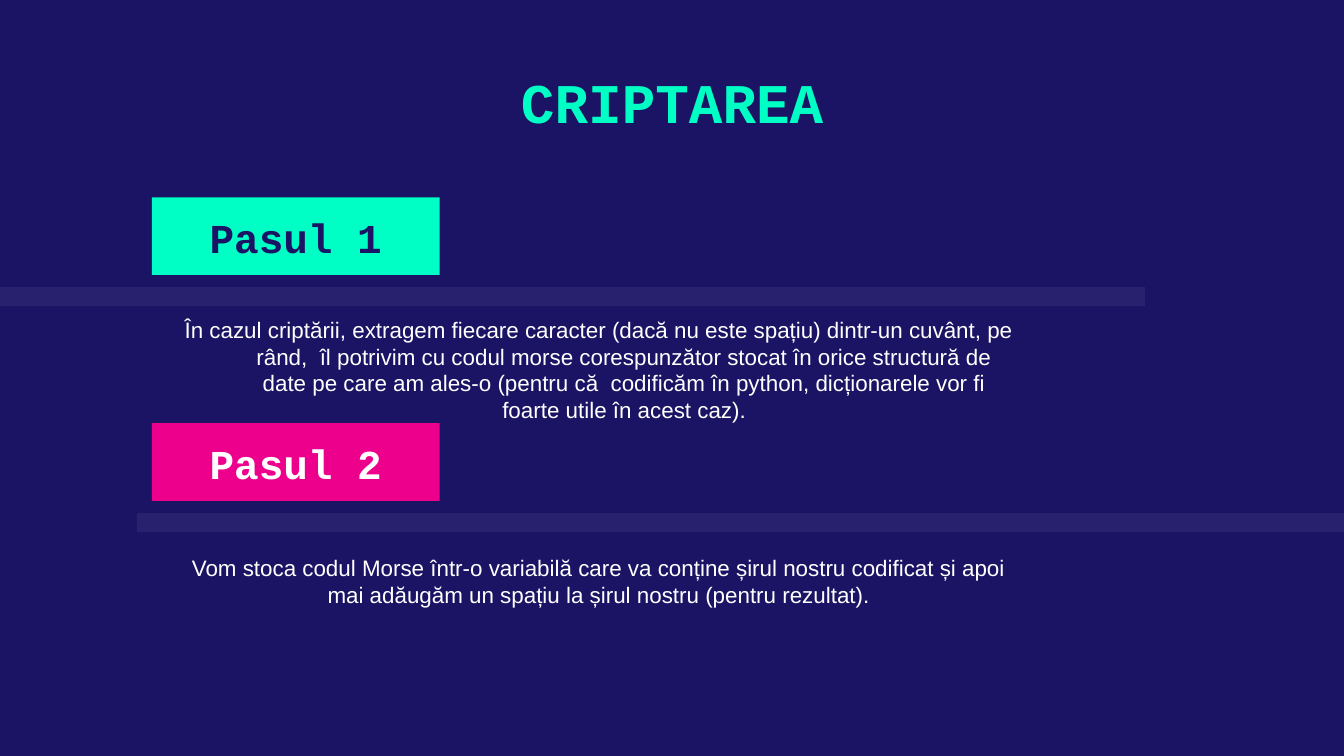
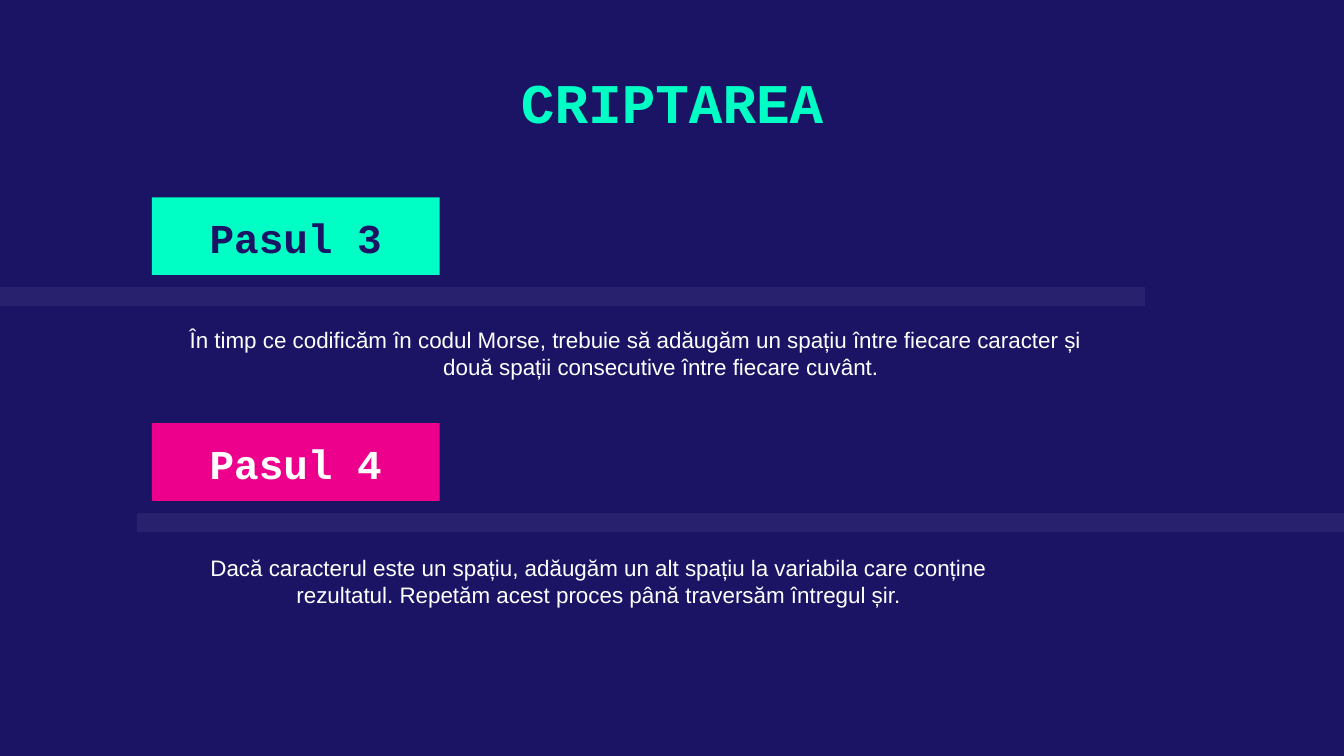
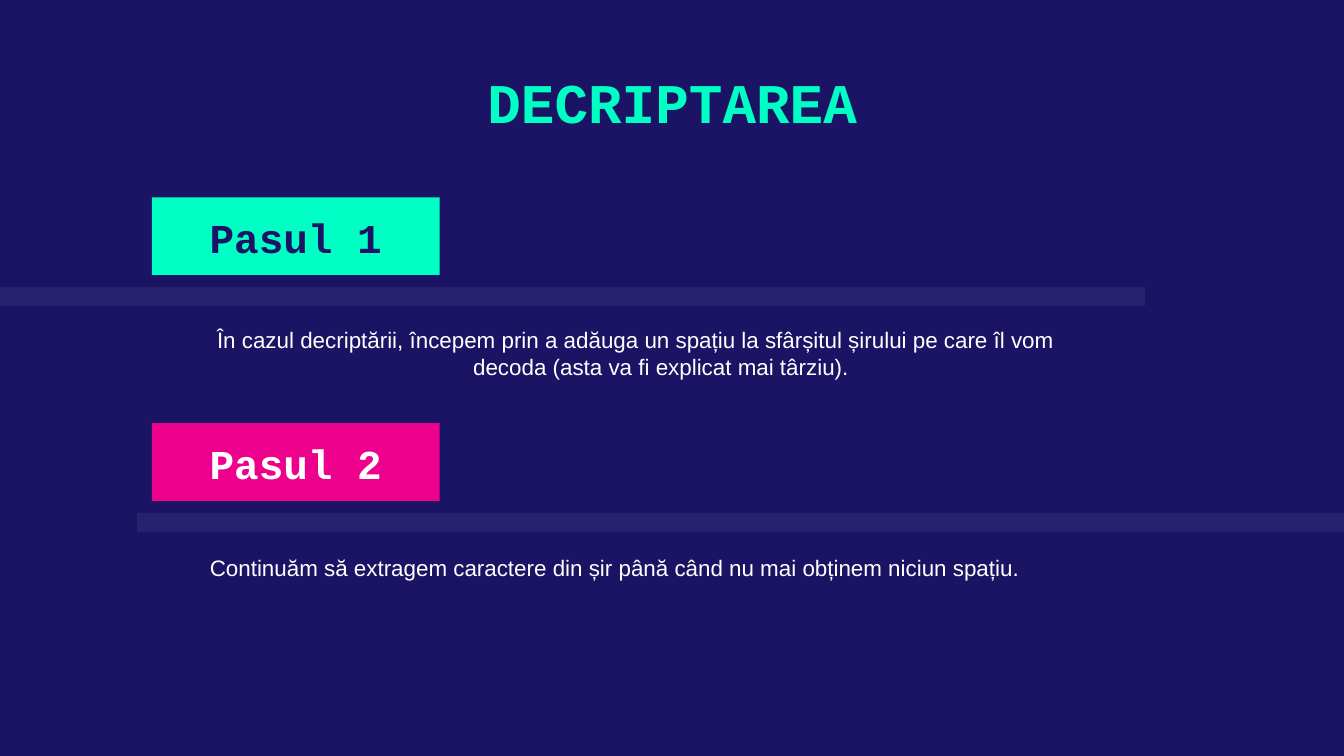
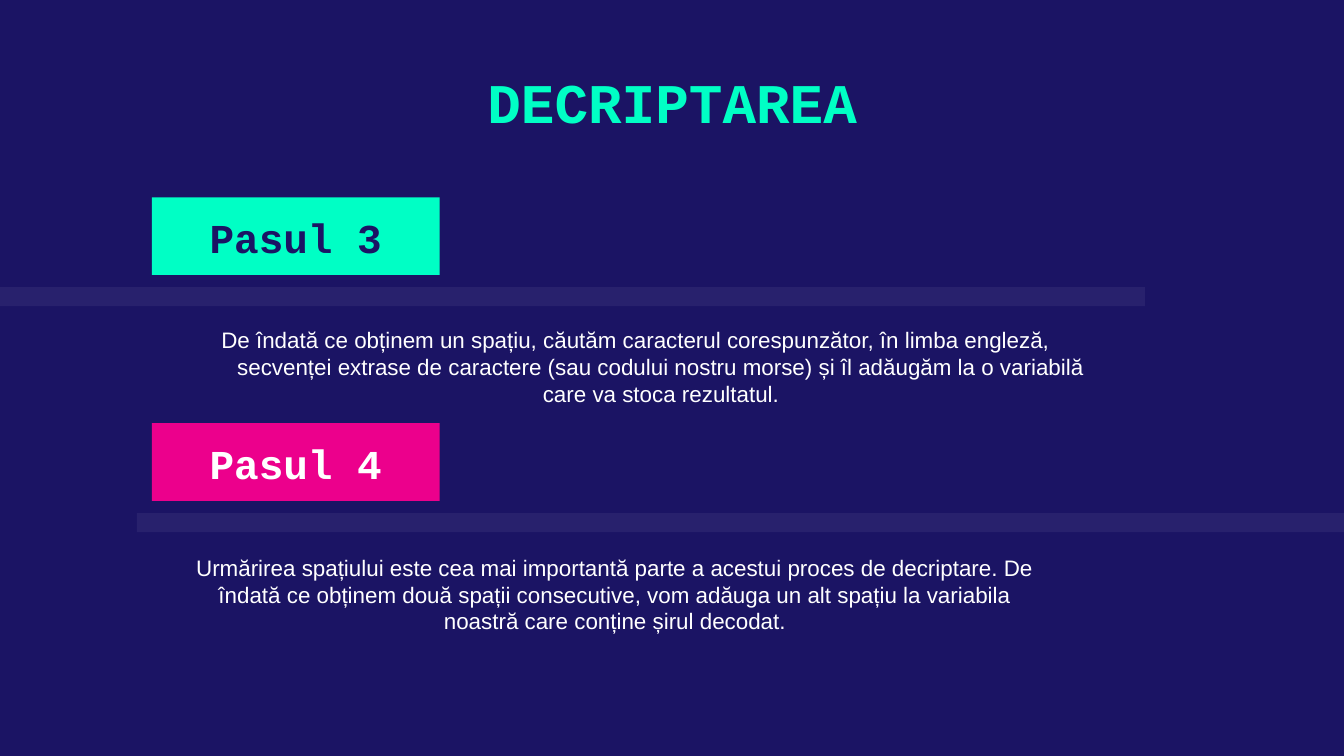
from dataclasses import dataclass

from lxml import etree
from pptx import Presentation
from pptx.dml.color import RGBColor
from pptx.enum.shapes import MSO_SHAPE
from pptx.enum.text import MSO_ANCHOR, PP_ALIGN
from pptx.oxml.ns import qn
from pptx.util import Cm, Pt

RECTANGLE = MSO_SHAPE.RECTANGLE
TOP, BOTTOM = MSO_ANCHOR.TOP, MSO_ANCHOR.BOTTOM
CENTER = PP_ALIGN.CENTER


@dataclass(frozen=True)
class Theme:
    """Colours, fonts and type sizes shared by all slides."""

    navy: RGBColor = RGBColor(0x1B, 0x14, 0x64)
    mint: RGBColor = RGBColor(0x00, 0xFF, 0xC5)
    pink: RGBColor = RGBColor(0xEC, 0x00, 0x8C)
    white: RGBColor = RGBColor(0xFF, 0xFF, 0xFF)
    heading_font: str = "Courier New"
    body_font: str = "Arial"
    title_size: int = 30
    badge_size: int = 22
    body_size: int = 12
    band_opacity: int = 6


@dataclass(frozen=True)
class Box:
    """A rectangle in centimetres."""

    left: float
    top: float
    width: float
    height: float

    def inner(self, left, top, width, height):
        """Return a box placed relative to this one."""
        return Box(self.left + left, self.top + top, width, height)

    def lengths(self):
        """Return the four lengths for python-pptx."""
        return Cm(self.left), Cm(self.top), Cm(self.width), Cm(self.height)


@dataclass(frozen=True)
class Body:
    """Explanatory text and how it sits inside its step."""

    text: str
    left: float
    top: float
    width: float
    height: float
    hanging: bool = False


THEME = Theme()
SLIDE = Box(0, 0, 25.4, 14.29)
TITLE = Box(3.56, 0.94, 18.29, 1.85)
STEP_TOP, STEP_PITCH, STEP_HEIGHT = 3.73, 4.27, 4.27
BADGE_LEFT, BADGE_WIDTH, BADGE_HEIGHT = 2.87, 5.44, 1.47
BAND_OFFSET, BAND_HEIGHT = 1.7, 0.36
STEP_STYLES = (
    (THEME.mint, THEME.navy, 0, 21.64),
    (THEME.pink, THEME.white, 2.59, 22.81),
)


def upper_body(text, top=2.19, width=17.98):
    """Describe the hanging text of the first step."""
    return Body(text, 2.87, top, width, 1.85, hanging=True)


def lower_body(text, width=16.28, height=1.27):
    """Describe the plain text of the second step."""
    return Body(text, 3.18, 2.34, width, height)


SLIDES = (
    ("CRIPTAREA", 1, (
        upper_body(
            "În cazul criptării, extragem fiecare caracter (dacă nu este spațiu) "
            "dintr-un cuvânt, pe rând,  îl potrivim cu codul morse corespunzător "
            "stocat în orice structură de date pe care am ales-o (pentru că  "
            "codificăm în python, dicționarele vor fi foarte utile în acest caz).",
            top=1.99, width=16.59),
        lower_body(
            "Vom stoca codul Morse într-o variabilă care va conține șirul nostru "
            "codificat și apoi mai adăugăm un spațiu la șirul nostru (pentru rezultat)."),
    )),
    ("CRIPTAREA", 3, (
        upper_body(
            "În timp ce codificăm în codul Morse, trebuie să adăugăm un spațiu între "
            "fiecare caracter și două spații consecutive între fiecare cuvânt."),
        lower_body(
            "Dacă caracterul este un spațiu, adăugăm un alt spațiu la variabila care "
            "conține rezultatul. Repetăm acest proces până traversăm întregul șir."),
    )),
    ("DECRIPTAREA", 1, (
        upper_body(
            "În cazul decriptării, începem prin a adăuga un spațiu la sfârșitul "
            "șirului pe care îl vom decoda (asta va fi explicat mai târziu)."),
        lower_body(
            "Continuăm să extragem caractere din șir până când nu mai obținem "
            "niciun spațiu.", width=16.89, height=0.76),
    )),
    ("DECRIPTAREA", 3, (
        upper_body(
            "De îndată ce obținem un spațiu, căutăm caracterul corespunzător, în "
            "limba engleză, secvenței extrase de caractere (sau codului nostru morse) "
            "și îl adăugăm la o variabilă care va stoca rezultatul."),
        lower_body(
            "Urmărirea spațiului este cea mai importantă parte a acestui proces de "
            "decriptare. De îndată ce obținem două spații consecutive, vom adăuga un "
            "alt spațiu la variabila noastră care conține șirul decodat.",
            width=16.89, height=1.8),
    )),
)


def write_text(shape, text, font_name, size, color, bold=False, anchor=TOP, inset=0.25):
    """Write one centred paragraph into a shape and return it."""
    frame = shape.text_frame
    frame.word_wrap = True
    frame.vertical_anchor = anchor
    frame.margin_left = frame.margin_right = Cm(0.25)
    frame.margin_top = frame.margin_bottom = Cm(inset)
    paragraph = frame.paragraphs[0]
    paragraph.text = text
    paragraph.alignment = CENTER
    font = paragraph.font
    font.name, font.size, font.bold = font_name, Pt(size), bold
    font.color.rgb = color
    return paragraph


def add_rectangle(slide, box, color):
    """Add a flat rectangle without outline or shadow."""
    shape = slide.shapes.add_shape(RECTANGLE, *box.lengths())
    shape.shadow.inherit = False
    shape.fill.solid()
    shape.fill.fore_color.rgb = color
    shape.line.fill.background()
    return shape


def add_band(slide, box):
    """Add a faint translucent band."""
    band = add_rectangle(slide, box, THEME.white)
    color = band.fill._xPr.find(qn("a:solidFill"))[0]
    etree.SubElement(color, qn("a:alpha"), val=str(THEME.band_opacity * 1000))


def add_title(slide, box, text):
    """Add the slide title."""
    title = slide.shapes.add_textbox(*box.lengths())
    write_text(title, text, THEME.heading_font, THEME.title_size, THEME.mint,
               bold=True, anchor=BOTTOM)


def add_body(slide, box, body):
    """Add the explanatory text of a step."""
    text_box = slide.shapes.add_textbox(
        *box.inner(body.left, body.top, body.width, body.height).lengths())
    paragraph = write_text(text_box, body.text, THEME.body_font, THEME.body_size,
                           THEME.white, inset=0.25 if body.hanging else 0.13)
    if body.hanging:
        properties = paragraph._p.get_or_add_pPr()
        properties.set("marL", str(Cm(1.27)))
        properties.set("indent", str(-Cm(0.95)))


def add_step(slide, box, number, style, body):
    """Add a step with its band, text and numbered badge."""
    fill_color, text_color, band_left, band_width = style
    add_band(slide, box.inner(band_left, BAND_OFFSET, band_width, BAND_HEIGHT))
    add_body(slide, box, body)
    badge = add_rectangle(
        slide, box.inner(BADGE_LEFT, 0, BADGE_WIDTH, BADGE_HEIGHT), fill_color)
    write_text(badge, f"Pasul {number}", THEME.heading_font, THEME.badge_size,
               text_color, bold=True, anchor=BOTTOM)


def add_steps_slide(presentation, box, title, first_number, bodies):
    """Add a slide with a title and two steps."""
    slide = presentation.slides.add_slide(presentation.slide_layouts[6])
    add_title(slide, TITLE, title)
    for index, (style, body) in enumerate(zip(STEP_STYLES, bodies)):
        step = box.inner(0, STEP_TOP + index * STEP_PITCH, box.width, STEP_HEIGHT)
        add_step(slide, step, first_number + index, style, body)


def main():
    """Build and save the presentation."""
    presentation = Presentation()
    presentation.slide_width, presentation.slide_height = SLIDE.lengths()[2:]
    background = presentation.slide_master.background.fill
    background.solid()
    background.fore_color.rgb = THEME.navy
    for title, first_number, bodies in SLIDES:
        add_steps_slide(presentation, SLIDE, title, first_number, bodies)
    presentation.save("out.pptx")


if __name__ == "__main__":
    main()
